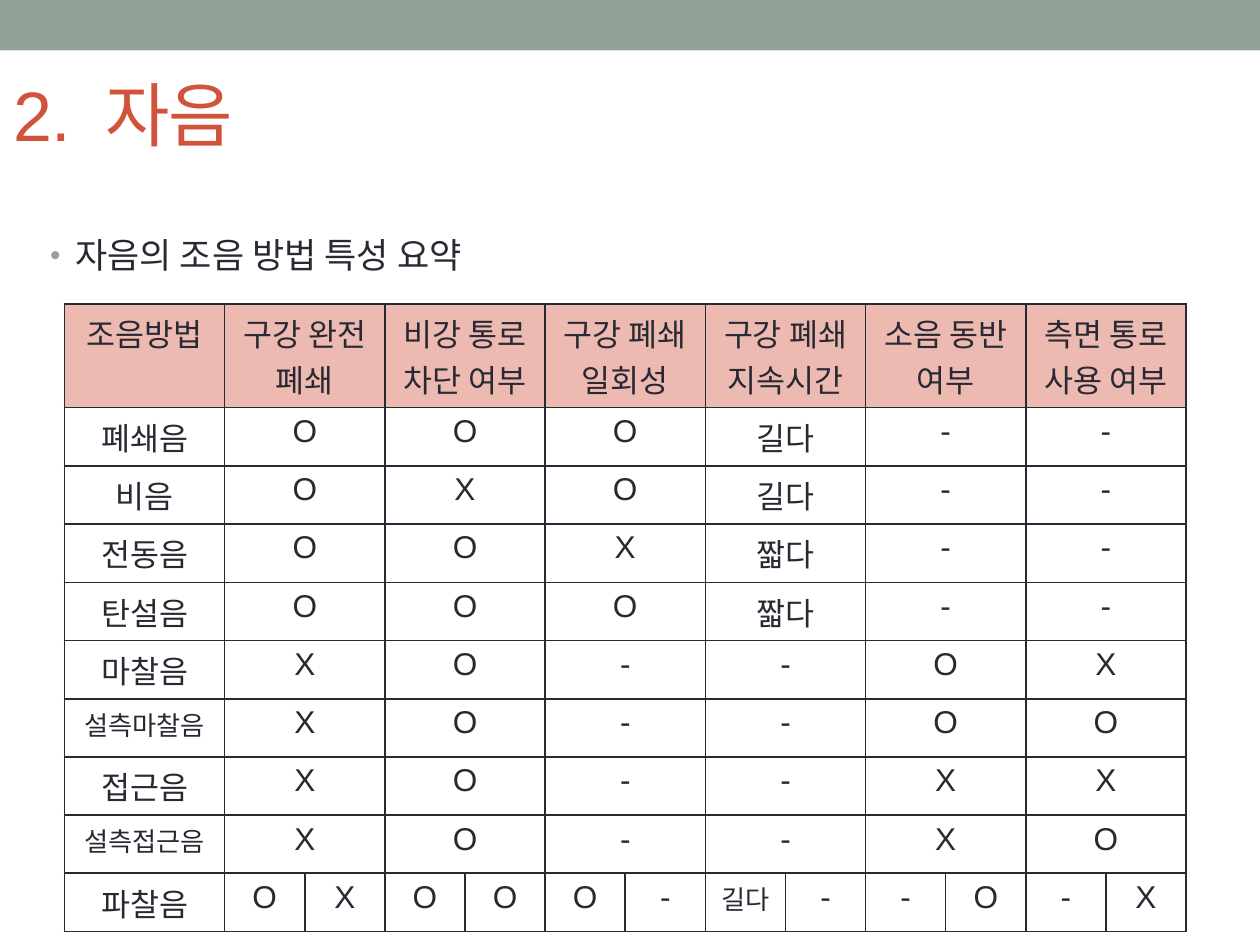
"""Build the slide that sums up how Korean consonants are articulated."""
from dataclasses import dataclass

from lxml import etree
from pptx import Presentation
from pptx.dml.color import RGBColor
from pptx.enum.shapes import MSO_SHAPE
from pptx.enum.text import MSO_ANCHOR, MSO_AUTO_SIZE, PP_ALIGN
from pptx.oxml.ns import qn
from pptx.util import Pt

RECTANGLE = MSO_SHAPE.RECTANGLE
MIDDLE, TOP = MSO_ANCHOR.MIDDLE, MSO_ANCHOR.TOP
LEFT, CENTER = PP_ALIGN.LEFT, PP_ALIGN.CENTER
NO_AUTOFIT = MSO_AUTO_SIZE.NONE

FONT = "Arial"
SAGE, BRICK, INK, ROSE = "93A299", "D2533C", "292934", "EDBAB1"
CELL_SIZE, SMALL_SIZE = 18, 15
SMALL_LABELS = ("설측마찰음", "설측접근음")
NAME_WIDTH, HALF_WIDTH, ROW_HEIGHT = 91.6, 45.8, 33.2


@dataclass(frozen=True)
class Manner:
    """One manner of articulation with its six or twelve feature values."""
    name: str
    features: tuple[str, ...]


HEADINGS = Manner("조음방법", ("구강 완전\n폐쇄", "비강 통로\n차단 여부", "구강 폐쇄\n일회성",
                           "구강 폐쇄\n지속시간", "소음 동반\n여부", "측면 통로\n사용 여부"))
MANNERS = (
    Manner("폐쇄음", ("O", "O", "O", "길다", "-", "-")),
    Manner("비음", ("O", "X", "O", "길다", "-", "-")),
    Manner("전동음", ("O", "O", "X", "짧다", "-", "-")),
    Manner("탄설음", ("O", "O", "O", "짧다", "-", "-")),
    Manner("마찰음", ("X", "O", "-", "-", "O", "X")),
    Manner("설측마찰음", ("X", "O", "-", "-", "O", "O")),
    Manner("접근음", ("X", "O", "-", "-", "X", "X")),
    Manner("설측접근음", ("X", "O", "-", "-", "X", "O")),
    Manner("파찰음", ("O", "X", "O", "O", "O", "-", "길다", "-", "-", "O", "-", "X")),
)


def color(value: str) -> RGBColor:
    """Turn a hex string into a colour."""
    return RGBColor.from_string(value)


def add_run(paragraph, text: str, size: float, ink: str, spacing: float = 0) -> None:
    """Add one formatted run, with letter spacing in points."""
    run = paragraph.add_run()
    run.text = text
    run.font.name, run.font.size = FONT, Pt(size)
    run.font.color.rgb = color(ink)
    if spacing:
        run.font._element.set("spc", str(int(spacing * 100)))


def add_band(slide) -> None:
    """Draw the band across the top of the slide."""
    band = slide.shapes.add_shape(RECTANGLE, 0, 0, Pt(720), Pt(28.8))
    band.shadow.inherit = False
    band.fill.solid()
    band.fill.fore_color.rgb = color(SAGE)
    band.line.fill.background()


def set_title(slide) -> None:
    """Place the title and write it."""
    title = slide.shapes.title
    title.left, title.top, title.width, title.height = Pt(0.7), Pt(26), Pt(648), Pt(77.8)
    frame = title.text_frame
    frame.auto_size, frame.vertical_anchor = NO_AUTOFIT, MIDDLE
    heading = frame.paragraphs[0]
    heading.alignment = LEFT
    for text, spacing in (("2.", -1), (" ", 9), ("자음", -1)):
        add_run(heading, text, 40, BRICK, spacing)


def add_summary(slide) -> None:
    """Write the bulleted line above the table."""
    box = slide.shapes.add_textbox(0, Pt(116.6), Pt(720), Pt(414))
    frame = box.text_frame
    frame.word_wrap, frame.auto_size = True, NO_AUTOFIT
    frame.margin_top = Pt(17)
    summary = frame.paragraphs[0]
    add_run(summary, "자음의 조음 방법 특성 요약", 20, INK)
    properties = summary._p.get_or_add_pPr()
    properties.set("marL", str(Pt(36)))
    properties.set("indent", str(Pt(-14.4)))
    bullet_color = etree.SubElement(properties, qn("a:buClr"))
    etree.SubElement(bullet_color, qn("a:srgbClr"), val=SAGE)
    etree.SubElement(properties, qn("a:buSzPct"), val="85000")
    etree.SubElement(properties, qn("a:buFont"), typeface=FONT)
    etree.SubElement(properties, qn("a:buChar"), char="•")


def style_cell(cell, fill: str | None) -> None:
    """Give a cell its four borders and its fill."""
    properties = cell._tc.get_or_add_tcPr()
    for side in ("lnL", "lnR", "lnT", "lnB"):
        border = etree.SubElement(properties, qn(f"a:{side}"), w=str(Pt(1)))
        paint = etree.SubElement(border, qn("a:solidFill"))
        etree.SubElement(paint, qn("a:srgbClr"), val=INK)
    if fill:
        cell.fill.solid()
        cell.fill.fore_color.rgb = color(fill)
    else:
        cell.fill.background()


def write_cell(cell, text: str, size: float) -> None:
    """Write centred text, one paragraph a line."""
    cell.vertical_anchor = TOP
    frame = cell.text_frame
    for index, line in enumerate(text.split("\n")):
        paragraph = frame.add_paragraph() if index else frame.paragraphs[0]
        paragraph.alignment = CENTER
        add_run(paragraph, line, size, INK)


def fill_row(table, row: int, manner: Manner, fill: str | None = None) -> None:
    """Fill one row, joining half columns where a feature has one value."""
    for column in range(13):
        style_cell(table.cell(row, column), fill)
    write_cell(table.cell(row, 0), manner.name,
               SMALL_SIZE if manner.name in SMALL_LABELS else CELL_SIZE)
    span = 12 // len(manner.features)
    for index, value in enumerate(manner.features):
        column = 1 + index * span
        cell = table.cell(row, column)
        if span > 1:
            cell.merge(table.cell(row, column + span - 1))
        narrow = span == 1 and len(value) > 1
        write_cell(cell, value, SMALL_SIZE if narrow else CELL_SIZE)


def add_manner_table(slide) -> None:
    """Build the table of manners and features."""
    rows = (HEADINGS, *MANNERS)
    holder = slide.shapes.add_table(len(rows), 13, Pt(36.8), Pt(173.6), Pt(641), Pt(332))
    table = holder.table
    table.first_row = table.horz_banding = False
    for index, column in enumerate(table.columns):
        column.width = Pt(HALF_WIDTH if index else NAME_WIDTH)
    for index, manner in enumerate(rows):
        table.rows[index].height = Pt(ROW_HEIGHT)
        fill_row(table, index, manner, None if index else ROSE)
    holder.height = Pt(346.3)


def main() -> None:
    """Build and save the slide."""
    deck = Presentation()
    deck.slide_width, deck.slide_height = Pt(720), Pt(540)
    slide = deck.slides.add_slide(deck.slide_layouts[5])
    add_band(slide)
    set_title(slide)
    add_summary(slide)
    add_manner_table(slide)
    deck.save("out.pptx")


if __name__ == "__main__":
    main()
